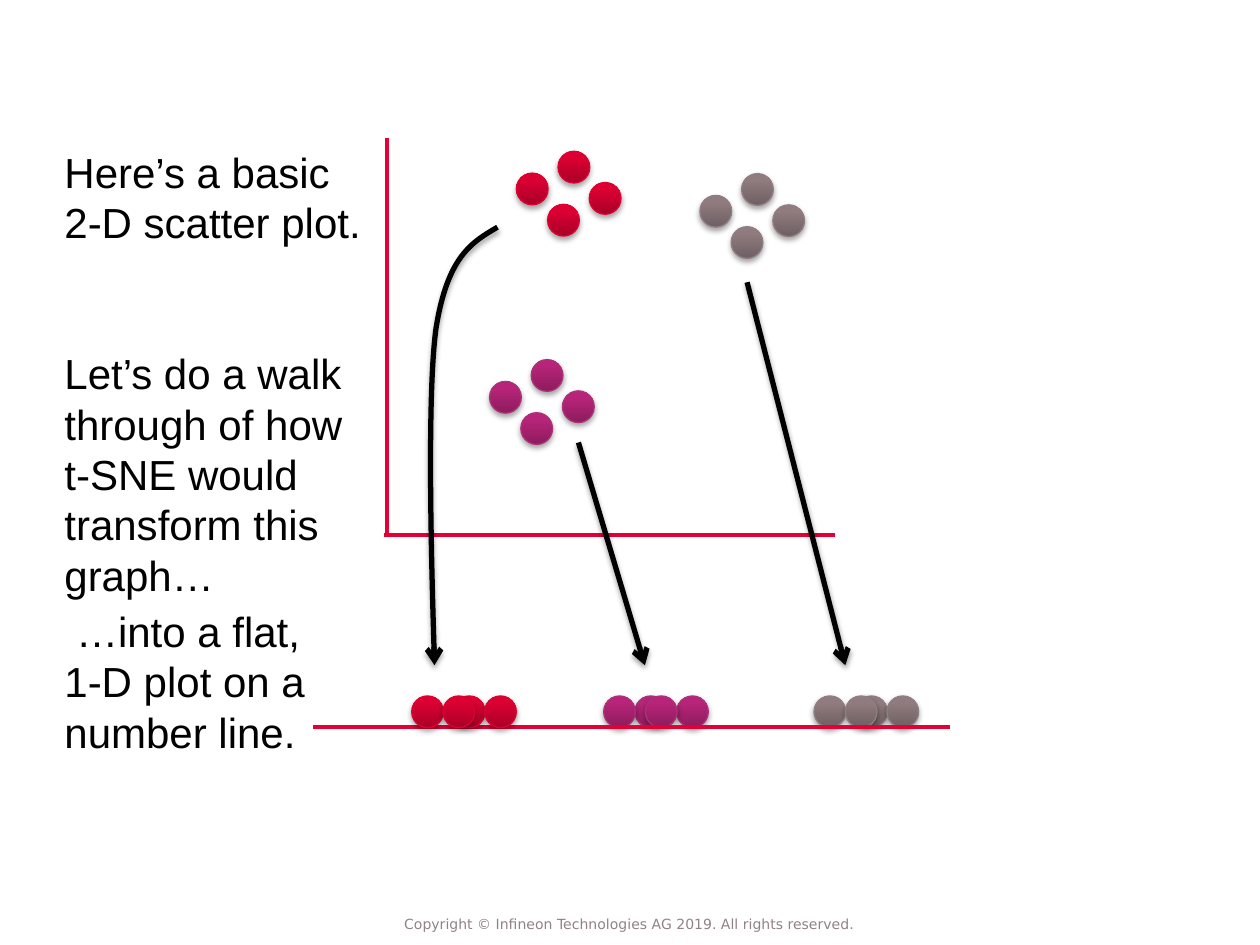
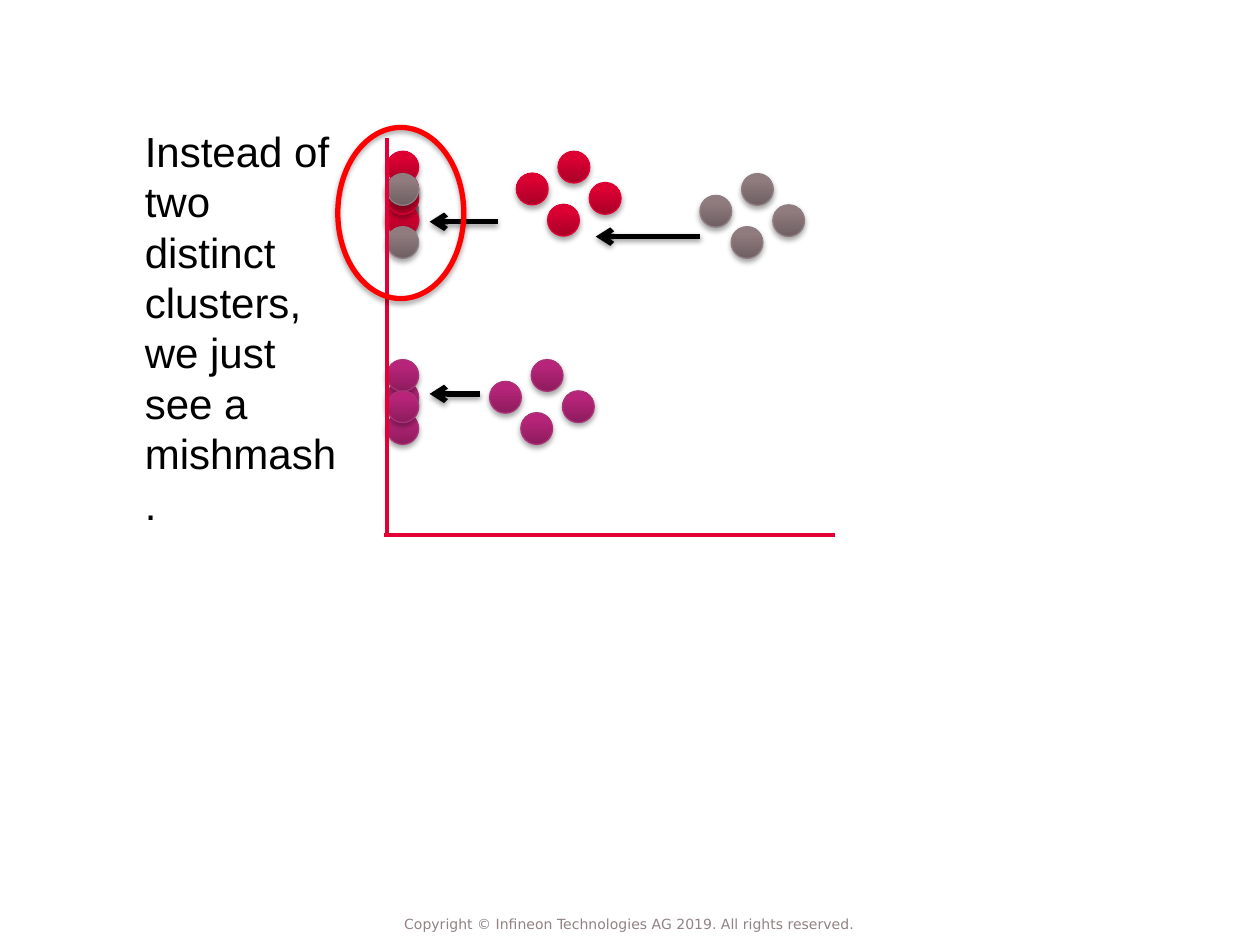
import copy

import pptx
import pptx.dml.color
import pptx.enum.shapes
import pptx.enum.text
import pptx.oxml.ns
import pptx.oxml.xmlchemy
import pptx.util

Cm = pptx.util.Cm
Pt = pptx.util.Pt
qn = pptx.oxml.ns.qn

AXIS, BLACK, MARK, MUTED = "E30034", "000000", "FF0000", "928285"
DOT = 0.64
DOT_OFFSETS = [(0, 0.44), (0.84, 0), (0.63, 1.07), (1.47, 0.63)]
GRADIENTS = {
    "red": ("A90027", "DC0032", "DD0033", "DE0033"),
    "purple": ("8D1C5D", "B72479", "BA227A", "AA3378"),
    "grey": ("6F5F62", "907C7F", "917C80", "8F7F82"),
}
CLUSTERS = {"red": (10.41, 3.05), "purple": (9.87, 7.25), "grey": (14.11, 3.5)}
AXIS_X, AXIS_Y = 7.8, 10.78
NUMBER_LINE_Y = 14.66

BODY = {"size": Pt(24), "name": "Arial"}
FOOTER = {"size": Pt(8), "name": "DejaVu Sans"}
NO_INSETS = dict.fromkeys(("margin_left", "margin_top", "margin_right", "margin_bottom"), 0)


def rgb(color):
    return pptx.dml.color.RGBColor.from_string(color)


def assign(obj, values):
    for name, value in values.items():
        setattr(obj, name, value)


def child(parent, tag, **attrs):
    el = pptx.oxml.xmlchemy.OxmlElement(tag)
    for name, value in attrs.items():
        el.set(name, str(value))
    parent.append(el)
    return el


def stroke(sp, color, width):
    sp.line.color.rgb = rgb(color)
    sp.line.width = Pt(width)


def add_shadow(effects, alpha=35, dist=1.8):
    shadow = child(effects, "a:outerShdw", blurRad=Pt(3.1), dist=Pt(dist),
                   dir=5400000, rotWithShape=0)
    color = child(shadow, "a:srgbClr", val=BLACK)
    child(color, "a:alpha", val=alpha * 1000)


def shape_shadow(sp):
    sp.shadow.inherit = False
    add_shadow(sp._element.spPr.find(qn("a:effectLst")))


def arrowhead(sp):
    child(sp._element.spPr.find(qn("a:ln")), "a:tailEnd", type="arrow")


def add_dot(s, hue, x, y):
    sp = s.shapes.add_shape(pptx.enum.shapes.MSO_SHAPE.OVAL, Cm(x), Cm(y), Cm(DOT), Cm(DOT))
    *colors, outline = GRADIENTS[hue]
    sp.fill.gradient()
    sp.fill.gradient_angle = 90
    stops = sp._element.spPr.find(".//" + qn("a:gsLst"))
    stops.append(copy.deepcopy(stops[0]))
    for stop, position, color in zip(sp.fill.gradient_stops, (0, 0.8, 1), colors):
        stop.position = position
        stop.color.rgb = rgb(color)
    stroke(sp, outline, 0.75)
    shape_shadow(sp)


def add_cluster(s, hue, x, y, spread_x=1, spread_y=1, order=(0, 1, 2, 3)):
    for i in order:
        dx, dy = DOT_OFFSETS[i]
        add_dot(s, hue, x + dx * spread_x, y + dy * spread_y)


def add_line(s, x1, y1, x2, y2, color=AXIS, width=2):
    cxn = s.shapes.add_connector(pptx.enum.shapes.MSO_CONNECTOR.STRAIGHT,
                                 Cm(x1), Cm(y1), Cm(x2), Cm(y2))
    stroke(cxn, color, width)
    return cxn, child(cxn._element.spPr, "a:effectLst")


def add_arrow(s, x1, y1, x2, y2):
    cxn, effects = add_line(s, x1, y1, x2, y2, BLACK, 3)
    arrowhead(cxn)
    add_shadow(effects, 38, 1.6)


def add_curved_arrow(s, start, curves):
    points = [[(Cm(x), Cm(y)) for x, y in curve] for curve in curves]
    builder = s.shapes.build_freeform(Cm(start[0]), Cm(start[1]))
    builder.add_line_segments([curve[-1] for curve in points], close=False)
    sp = builder.convert_to_shape()
    for segment, curve in zip(list(sp._element.iter(qn("a:lnTo"))), points):
        bezier = pptx.oxml.xmlchemy.OxmlElement("a:cubicBezTo")
        for x, y in curve:
            child(bezier, "a:pt", x=x - sp.left, y=y - sp.top)
        segment.getparent().replace(segment, bezier)
    sp.fill.background()
    stroke(sp, BLACK, 3)
    arrowhead(sp)
    shape_shadow(sp)


def add_ring(s, x, y, w, h):
    sp = s.shapes.add_shape(pptx.enum.shapes.MSO_SHAPE.OVAL, Cm(x), Cm(y), Cm(w), Cm(h))
    sp.fill.background()
    stroke(sp, MARK, 3)
    shape_shadow(sp)


def add_text(s, x, y, w, h, paragraphs, font, color, frame, paragraph, gap=0):
    tf = s.shapes.add_textbox(Cm(x), Cm(y), Cm(w), Cm(h)).text_frame
    assign(tf, frame)
    for i, text in enumerate(paragraphs):
        p = tf.add_paragraph() if i else tf.paragraphs[0]
        assign(p, paragraph)
        if i:
            p.space_before = Pt(gap)
        r = p.add_run()
        r.text = text
        assign(r.font, font)
        r.font.color.rgb = rgb(color)


def add_body(s, x, y, w, h, *paragraphs):
    frame = {"word_wrap": True, "auto_size": pptx.enum.text.MSO_AUTO_SIZE.SHAPE_TO_FIT_TEXT}
    add_text(s, x, y, w, h, paragraphs, BODY, BLACK, frame,
             {"line_spacing": Pt(28.8)}, gap=57.6)


def add_footer(s):
    frame = {"word_wrap": True, "vertical_anchor": pptx.enum.text.MSO_ANCHOR.MIDDLE, **NO_INSETS}
    add_text(s, 7.69, 18.21, 10, 0.84,
             ["Copyright © Infineon Technologies AG 2019. All rights reserved."],
             FOOTER, MUTED, frame, {"alignment": pptx.enum.text.PP_ALIGN.CENTER})


def add_scatter_plot(s):
    for hue, (x, y) in CLUSTERS.items():
        add_cluster(s, hue, x, y)
    add_line(s, 16.84, AXIS_Y, 7.75, AXIS_Y)
    add_line(s, AXIS_X, 2.78, AXIS_X, AXIS_Y)


def project_on_axis(s, hue, order=(0, 1, 2, 3)):
    add_cluster(s, hue, AXIS_X, CLUSTERS[hue][1], spread_x=0, order=order)


def project_on_number_line(s, hue, x, order=(0, 1, 2, 3)):
    add_cluster(s, hue, x, NUMBER_LINE_Y - 0.63, spread_y=0, order=order)


def build_number_line_slide(s):
    add_scatter_plot(s)
    add_body(s, 1.05, 12.08, 6.05, 1.8, " …into a flat, 1-D plot on a number line.")
    project_on_number_line(s, "purple", 12.17, (3, 2, 0, 1))
    project_on_number_line(s, "grey", 16.41)
    add_line(s, 19.15, NUMBER_LINE_Y, 6.3, NUMBER_LINE_Y)
    project_on_number_line(s, "red", 8.3)
    add_body(s, 1.05, 2.82, 6.71, 5.64, "Here’s a basic 2-D scatter plot.",
             "Let’s do a walk through of how t-SNE would transform this graph…")
    add_arrow(s, 15.06, 5.69, 17.04, 13.41)
    add_arrow(s, 11.66, 8.92, 13, 13.41)
    add_curved_arrow(s, (10.03, 4.58), [
        [(9.52, 4.88), (9.02, 5.16), (8.79, 6.63)],
        [(8.59, 8.1), (8.76, 13.41), (8.76, 13.41)],
    ])
    add_footer(s)


def build_mishmash_slide(s):
    project_on_axis(s, "grey", (0, 3))
    project_on_axis(s, "red")
    project_on_axis(s, "purple")
    project_on_axis(s, "grey", (1, 2))
    add_scatter_plot(s)
    for x1, x2, y in [(14.12, 12.01, 4.77), (10.03, 8.66, 4.47), (9.68, 8.66, 7.94)]:
        add_arrow(s, x1, y, x2, y)
    add_ring(s, 6.81, 2.57, 2.54, 3.45)
    add_body(s, 2.67, 2.4, 4.45, 4.11,
             "Instead of two distinct clusters, we just see a mishmash.")
    add_footer(s)


def main():
    prs = pptx.Presentation()
    assign(prs, {"slide_width": Cm(25.4), "slide_height": Cm(19.05)})
    for build in (build_number_line_slide, build_mishmash_slide):
        build(prs.slides.add_slide(prs.slide_layouts[6]))
    prs.save("out.pptx")


if __name__ == "__main__":
    main()
